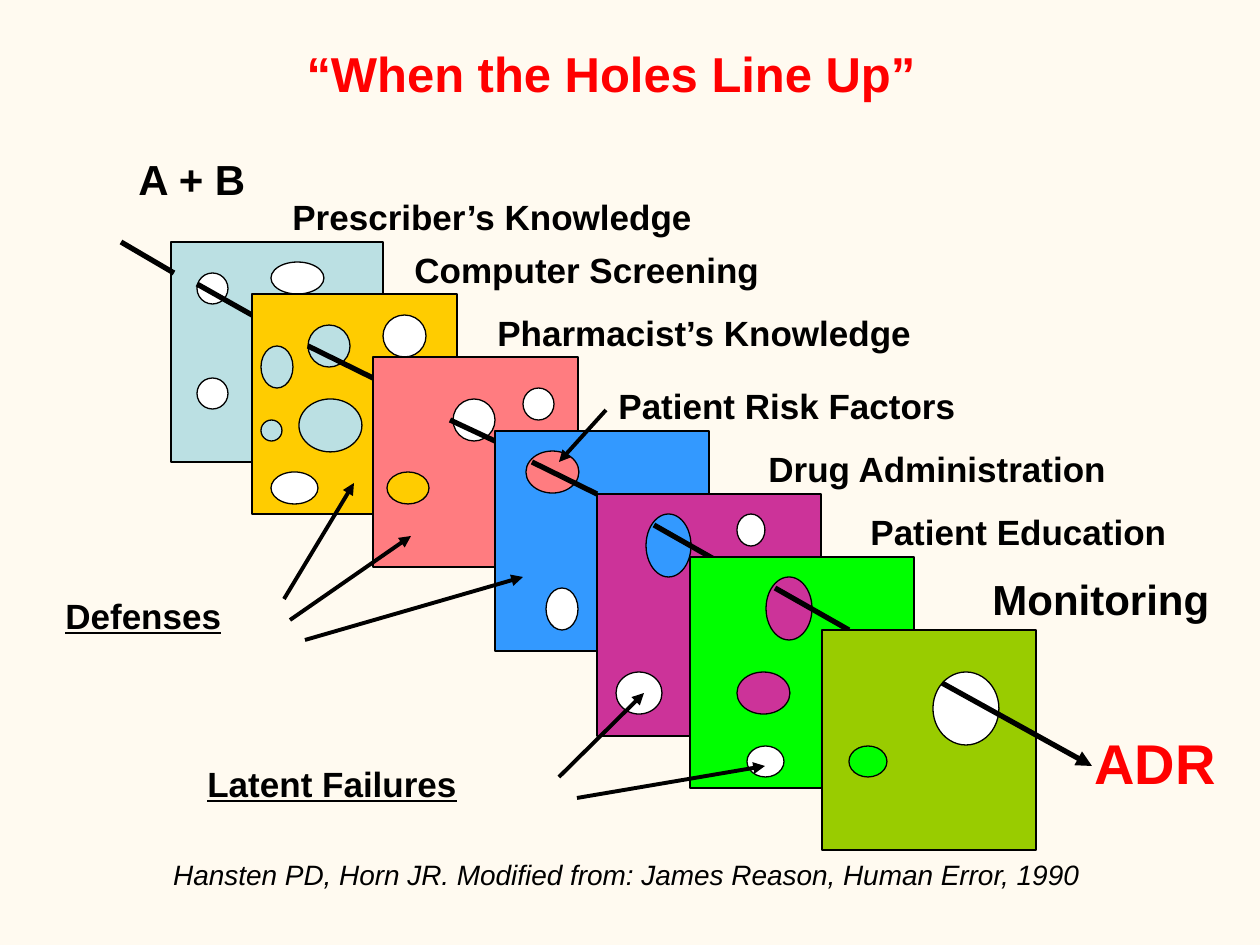
from typing import NamedTuple
from lxml.etree import SubElement
from pptx import Presentation
from pptx.dml.color import RGBColor as Rgb
from pptx.enum.shapes import MSO_CONNECTOR as Link, MSO_SHAPE as Shape
from pptx.enum.text import PP_ALIGN as Align
from pptx.oxml.ns import qn
from pptx.util import Pt

SCALE = 914400 / 126  # EMU per pixel

HUES = {
    "cream": "FFFAF0", "black": "000000", "white": "FFFFFF", "red": "FF0000",
    "pale": "BBE0E3", "gold": "FFCC00", "coral": "FF7C80", "blue": "3399FF",
    "plum": "CC3399", "lime": "00FF00", "olive": "99CC00",
}


class Box(NamedTuple):
    x: int
    y: int
    w: int
    h: int


class Hole(NamedTuple):
    box: Box
    hue: str = "white"


class Ray(NamedTuple):
    x1: int
    y1: int
    x2: int
    y2: int
    width: float = 3
    arrow: bool = False


class Layer(NamedTuple):
    box: Box
    hue: str
    holes: list[Hole]
    ray: Ray


class Label(NamedTuple):
    words: str
    box: Box
    style: dict = {}


def emu(px: int) -> int:
    return round(px * SCALE)


def tint(name: str) -> Rgb:
    return Rgb.from_string(HUES[name])


def draw_shape(kind: Shape, box: Box, hue: str) -> None:
    item = slide.shapes.add_shape(kind, *map(emu, box))
    item.shadow.inherit = False
    item.fill.solid()
    item.fill.fore_color.rgb = tint(hue)
    item.line.color.rgb = tint("black")
    item.line.width = Pt(0.75)


def draw_ray(ray: Ray) -> None:
    item = slide.shapes.add_connector(Link.STRAIGHT, *map(emu, ray[:4]))
    item.line.color.rgb = tint("black")
    item.line.width = Pt(ray.width)
    if ray.arrow:
        SubElement(item.line._get_or_add_ln(), qn("a:tailEnd"), type="triangle")
    SubElement(item._element.spPr, qn("a:effectLst"))


def draw_text(words: str, box: Box, *, size: int = 20, hue: str = "black",
              bold: bool = True, slant: bool = False, under: bool = False,
              align: Align = Align.LEFT) -> None:
    frame = slide.shapes.add_textbox(*map(emu, box)).text_frame
    frame.word_wrap = True
    line = frame.paragraphs[0]
    line.alignment = align
    run = line.add_run()
    run.text = words
    font = run.font
    font.name, font.size, font.bold = "Arial", Pt(size), bold
    font.italic, font.underline = slant, under
    font.color.rgb = tint(hue)


# Slices from back to front, each with its holes and the ray that leaves it
LAYERS = [
    Layer(Box(171, 242, 212, 220), "pale", [
        Hole(Box(197, 378, 31, 31)), Hole(Box(271, 262, 53, 32)),
        Hole(Box(197, 273, 31, 31)),
    ], Ray(197, 284, 252, 315)),
    Layer(Box(252, 294, 205, 220), "gold", [
        Hole(Box(271, 472, 47, 32)), Hole(Box(308, 325, 42, 42), "pale"),
        Hole(Box(383, 315, 43, 42)), Hole(Box(299, 399, 63, 53), "pale"),
        Hole(Box(261, 346, 32, 42), "pale"), Hole(Box(261, 420, 21, 21), "pale"),
    ], Ray(308, 346, 373, 378)),
    Layer(Box(373, 357, 205, 210), "coral", [
        Hole(Box(453, 399, 42, 42)), Hole(Box(523, 388, 31, 32)),
        Hole(Box(387, 472, 42, 32), "gold"),
    ], Ray(450, 420, 495, 441)),
    Layer(Box(495, 431, 214, 220), "blue", [
        Hole(Box(526, 451, 53, 42), "coral"), Hole(Box(546, 588, 32, 42)),
    ], Ray(532, 462, 597, 494)),
    Layer(Box(597, 494, 224, 242), "plum", [
        Hole(Box(646, 514, 45, 63), "blue"), Hole(Box(616, 672, 46, 42)),
        Hole(Box(737, 514, 28, 32)),
    ], Ray(654, 525, 728, 567)),
    Layer(Box(690, 557, 224, 231), "lime", [
        Hole(Box(737, 672, 53, 42), "plum"), Hole(Box(766, 577, 46, 63), "plum"),
        Hole(Box(747, 746, 37, 31)),
    ], Ray(775, 588, 849, 630)),
    Layer(Box(822, 630, 214, 220), "olive", [
        Hole(Box(933, 672, 66, 73)), Hole(Box(849, 746, 38, 31), "green" if "green" in HUES else "lime"),
    ], Ray(942, 683, 1092, 766, arrow=True)),
]

ENTRY = Ray(121, 242, 174, 273)

# Pointers from the labels, as x1, y1, x2, y2
POINTERS = [
    (606, 410, 559, 462), (284, 599, 354, 483), (290, 620, 411, 536),
    (305, 640, 523, 577), (559, 777, 644, 693), (577, 798, 765, 766),
]

LABELS = [
    Label("“When the Holes Line Up”", Box(126, 37, 970, 72),
          dict(size=28, hue="red", align=Align.CENTER)),
    Label("A + B", Box(126, 147, 158, 50), dict(size=24)),
    Label("Prescriber’s Knowledge", Box(280, 189, 577, 54)),
    Label("Computer Screening", Box(402, 242, 536, 54)),
    Label("Pharmacist’s Knowledge", Box(485, 305, 577, 54)),
    Label("Patient Risk Factors", Box(606, 378, 483, 54)),
    Label("Drug Administration", Box(756, 441, 438, 54)),
    Label("Patient Education", Box(858, 504, 384, 54)),
    Label("Monitoring", Box(980, 567, 273, 50), dict(size=24)),
    Label("ADR", Box(1082, 722, 165, 81), dict(size=32, hue="red")),
    Label("Defenses", Box(53, 588, 262, 54), dict(under=True)),
    Label("Latent Failures", Box(195, 756, 393, 54), dict(under=True)),
    Label("Hansten PD, Horn JR. Modified from: James Reason, Human Error, 1990",
          Box(95, 851, 1063, 47),
          dict(size=16, bold=False, slant=True, align=Align.CENTER)),
]

# Slide and ground
deck = Presentation()
deck.slide_width, deck.slide_height = emu(1260), emu(945)
slide = deck.slides.add_slide(deck.slide_layouts[6])
ground = slide.background.fill
ground.solid()
ground.fore_color.rgb = tint("cream")

# Slices, holes and rays
for layer in LAYERS:
    draw_shape(Shape.RECTANGLE, layer.box, layer.hue)
    for hole in layer.holes:
        draw_shape(Shape.OVAL, hole.box, hole.hue)
    draw_ray(layer.ray)
draw_ray(ENTRY)

# Pointers and labels
for ends in POINTERS:
    draw_ray(Ray(*ends, width=2.25, arrow=True))
for label in LABELS:
    draw_text(label.words, label.box, **label.style)

deck.save("out.pptx")
